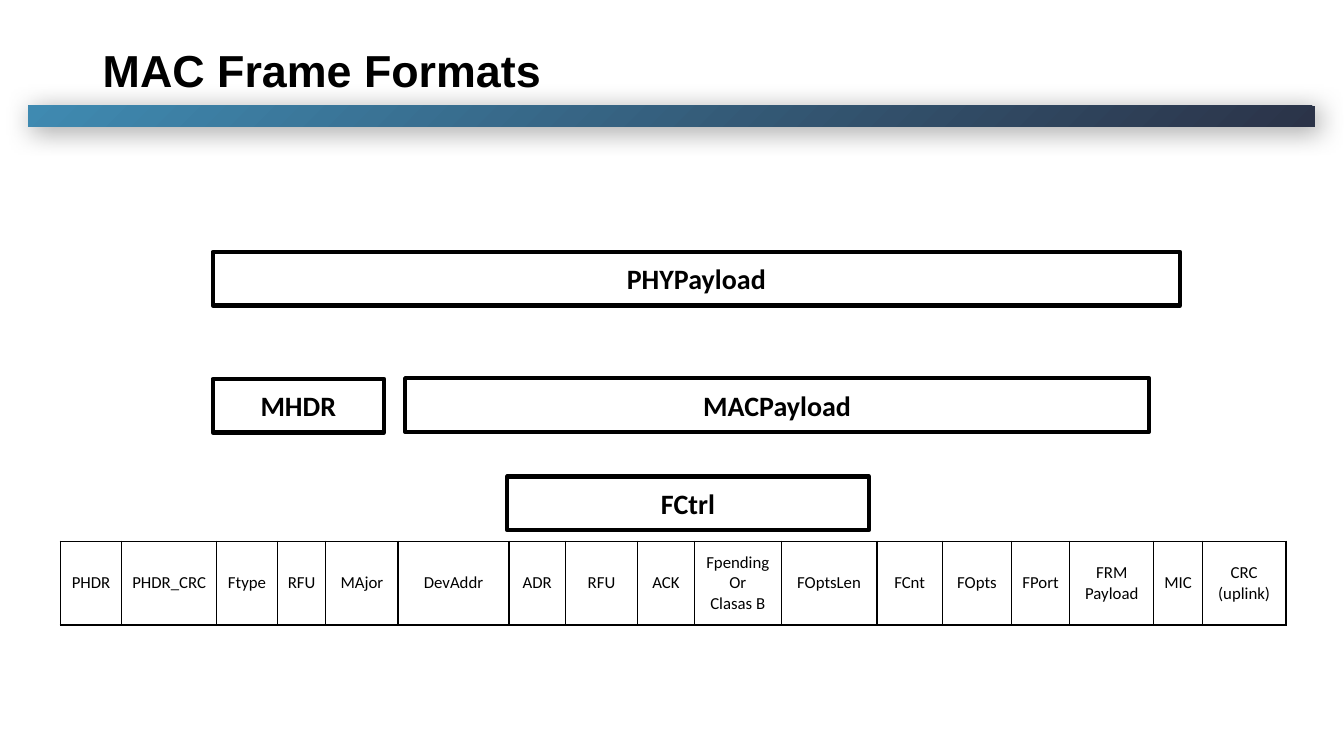
import pptx
import pptx.util
import pptx.dml.color
import pptx.enum.shapes
import pptx.enum.text
import pptx.oxml
import pptx.oxml.ns

Cm, Pt = pptx.util.Cm, pptx.util.Pt
RGBColor = pptx.dml.color.RGBColor
RECTANGLE = pptx.enum.shapes.MSO_SHAPE.RECTANGLE
MIDDLE = pptx.enum.text.MSO_ANCHOR.MIDDLE
ALIGN = pptx.enum.text.PP_ALIGN
NS = pptx.oxml.ns.nsdecls("a")

BLACK = RGBColor(0x00, 0x00, 0x00)
BLUE = RGBColor(0x3F, 0x8A, 0xB1)
NAVY = RGBColor(0x2B, 0x33, 0x48)

# Frame parts: name, left, top, width (cm)
FRAME_PARTS = [
    ("MACPayload", 10.21, 9.53, 18.75),
    ("PHYPayload", 5.36, 6.35, 24.38),
    ("MHDR", 5.36, 9.55, 4.32),
    ("FCtrl", 12.78, 12.01, 9.12),
]

# Frame fields: name, column width (cm)
FIELDS = [
    ("PHDR", 1.55), ("PHDR_CRC", 2.39), ("Ftype", 1.53), ("RFU", 1.22),
    ("MAjor", 1.82), ("DevAddr", 2.8), ("ADR", 1.42), ("RFU", 1.82),
    ("ACK", 1.43), ("Fpending\nOr\nClasas B", 2.19), ("FOptsLen", 2.41),
    ("FCnt", 1.65), ("FOpts", 1.74), ("FPort", 1.47),
    ("FRM\nPayload", 2.12), ("MIC", 1.22), ("CRC\n(uplink)", 2.11),
]


def write_text(tf, text, size, font="Calibri", bold=False, align=ALIGN.CENTER):
    tf.text = text
    for p in tf.paragraphs:
        p.alignment = align
        for r in p.runs:
            r.font.size = Pt(size)
            r.font.name = font
            r.font.bold = bold
            r.font.color.rgb = BLACK


def add_title(s, text):
    sp = s.shapes.add_textbox(Cm(2.34), 0, Cm(29.21), Cm(3.68))
    tf = sp.text_frame
    tf.word_wrap = True
    tf.vertical_anchor = MIDDLE
    write_text(tf, text, 32, "Arial", True, ALIGN.LEFT)
    tf.paragraphs[0].line_spacing = 0.9


def add_bar(s):
    sp = s.shapes.add_shape(RECTANGLE, Cm(0.71), Cm(2.67), Cm(32.44), Cm(0.53))
    sp.line.fill.background()
    sp.fill.gradient()
    for stop, color, position in zip(sp.fill.gradient_stops, (BLUE, NAVY), (0, 1)):
        stop.color.rgb = color
        stop.position = position
    # Radial gradient from the top left corner
    grad = sp.element.spPr.find(pptx.oxml.ns.qn("a:gradFill"))
    grad.replace(grad.find(pptx.oxml.ns.qn("a:lin")), pptx.oxml.parse_xml(
        f'<a:path {NS} path="circle"><a:fillToRect r="100000" b="100000"/></a:path>'))
    # Soft shadow
    sp.shadow.inherit = False
    effects = sp.element.spPr.find(pptx.oxml.ns.qn("a:effectLst"))
    effects.append(pptx.oxml.parse_xml(
        f'<a:outerShdw {NS} blurRad="{Pt(18)}" dist="{Pt(3)}" dir="2700000" '
        f'algn="tl" rotWithShape="0"><a:srgbClr val="{BLACK}">'
        '<a:alpha val="40000"/></a:srgbClr></a:outerShdw>'))


def add_frame_part(s, name, left, top, width):
    sp = s.shapes.add_shape(RECTANGLE, Cm(left), Cm(top), Cm(width), Cm(1.35))
    sp.shadow.inherit = False
    sp.fill.background()
    sp.line.color.rgb = BLACK
    sp.line.width = Pt(3)
    sp.text_frame.vertical_anchor = MIDDLE
    write_text(sp.text_frame, name, 20, bold=True)


def add_borders(cell):
    tcPr = cell._tc.get_or_add_tcPr()
    for i, side in enumerate("LRTB"):
        tcPr.insert(i, pptx.oxml.parse_xml(
            f'<a:ln{side} {NS} w="{Pt(1)}"><a:solidFill>'
            f'<a:srgbClr val="{BLACK}"/></a:solidFill></a:ln{side}>'))


def add_field_table(s, fields):
    width = sum(w for _, w in fields)
    table = s.shapes.add_table(1, len(fields), Cm(1.52), Cm(13.64),
                               Cm(width), Cm(2.11)).table
    table.first_row = table.horz_banding = False
    for i, (name, w) in enumerate(fields):
        table.columns[i].width = Cm(w)
        cell = table.cell(0, i)
        cell.fill.background()
        cell.vertical_anchor = MIDDLE
        cell.margin_left = cell.margin_right = Cm(0.1)
        write_text(cell.text_frame, name, 12)
        add_borders(cell)


def main():
    prs = pptx.Presentation()
    prs.slide_width, prs.slide_height = Cm(33.87), Cm(19.05)
    s = prs.slides.add_slide(prs.slide_layouts[6])

    # Heading
    add_title(s, "MAC Frame Formats")
    add_bar(s)

    # Frame structure
    add_field_table(s, FIELDS)
    for part in FRAME_PARTS:
        add_frame_part(s, *part)

    prs.save("out.pptx")


main()
